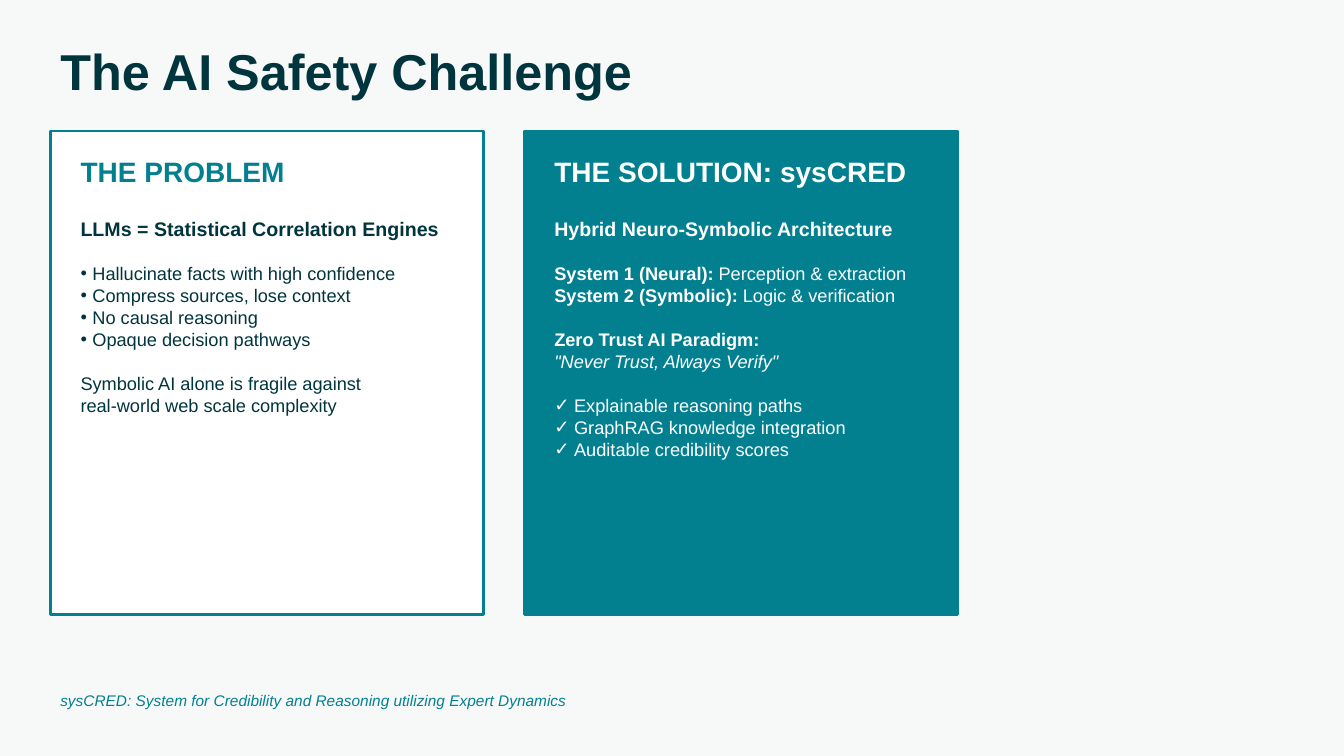
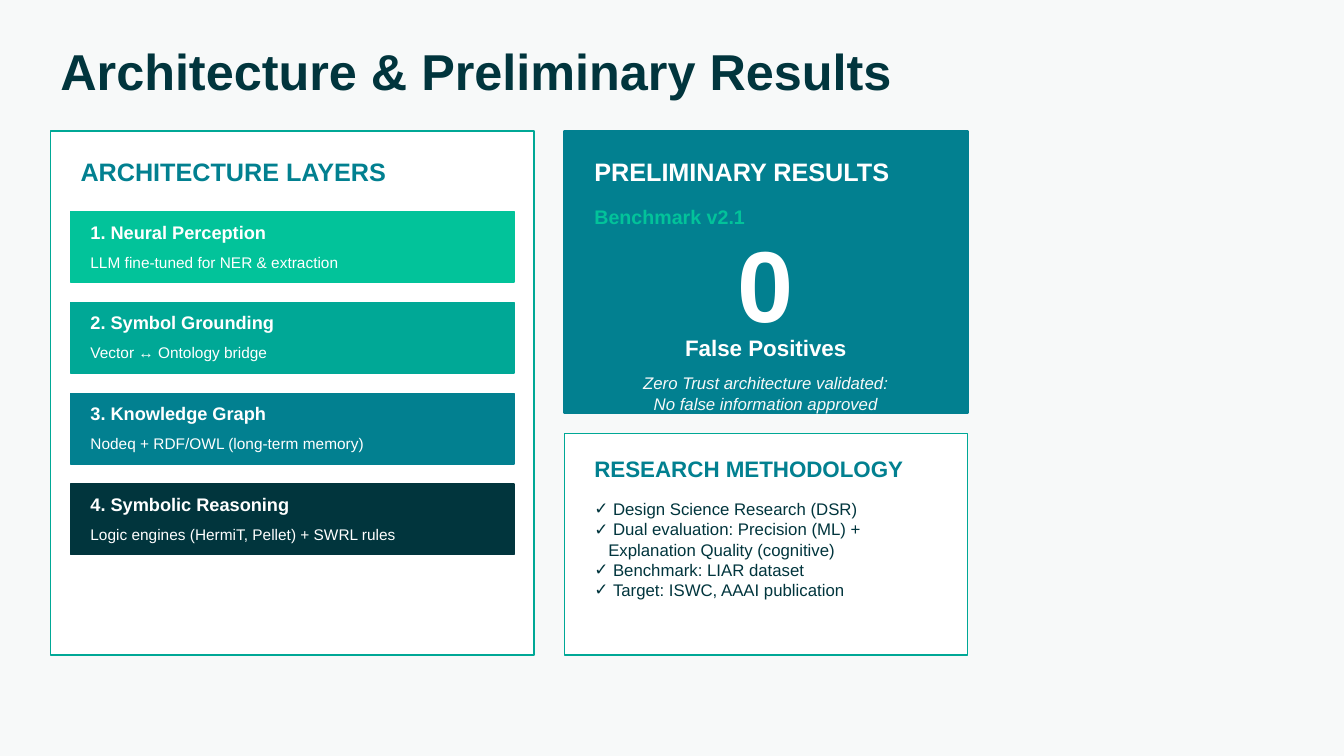
from dataclasses import dataclass
from lxml.etree import SubElement
from pptx import Presentation
from pptx.dml.color import RGBColor
from pptx.enum.shapes import MSO_SHAPE
from pptx.enum.text import MSO_ANCHOR, PP_ALIGN
from pptx.oxml.ns import qn
from pptx.util import Cm, Pt


@dataclass(frozen=True)
class Theme:
    font: str = "Arial"
    paper: str = "F7F9F9"
    white: str = "FFFFFF"
    ink: str = "01353D"
    teal: str = "028090"
    green: str = "00A896"
    mint: str = "02C39A"
    title: int = 36
    figure: int = 72
    head: int = 20
    subhead: int = 18
    label: int = 16
    lead: int = 14
    body: int = 13
    detail: int = 12
    small: int = 11


T = Theme()
MID, TOP = MSO_ANCHOR.MIDDLE, MSO_ANCHOR.TOP
LEFT, CENTER = PP_ALIGN.LEFT, PP_ALIGN.CENTER


def add_box(s, at, fill, line, weight):
    sp = s.shapes.add_shape(MSO_SHAPE.RECTANGLE, *[Cm(v) for v in at])
    sp.shadow.inherit = False
    sp.fill.solid()
    sp.fill.fore_color.rgb = RGBColor.from_string(fill)
    sp.line.color.rgb = RGBColor.from_string(line)
    sp.line.width = Pt(weight)


def add_text(s, at, size, color, *paras, style="", anchor=MID, align=LEFT):
    """Each paragraph is a string or a dict: runs [(text, style)], size, before, bullet, indent."""
    tf = s.shapes.add_textbox(*[Cm(v) for v in at]).text_frame
    tf.word_wrap = True
    tf.vertical_anchor = anchor
    for i, para in enumerate(paras):
        if isinstance(para, str):
            para = {"runs": [(para, style)]}
        p = tf.add_paragraph() if i else tf.paragraphs[0]
        p.alignment = align
        p.space_before = Pt(para.get("before", 0))
        indent = Cm(para.get("indent", 0))
        pPr = p._p.get_or_add_pPr()
        pPr.set("marL", str(indent))
        if "bullet" in para:
            pPr.set("indent", str(-indent))
            SubElement(pPr, qn("a:buFont")).set("typeface", T.font)
            SubElement(pPr, qn("a:buChar")).set("char", para["bullet"])
        for text, look in para["runs"]:
            r = p.add_run()
            r.text = text
            r.font.name = T.font
            r.font.size = Pt(para.get("size", size))
            r.font.bold = "b" in look
            r.font.italic = "i" in look
            r.font.color.rgb = RGBColor.from_string(color)


prs = Presentation()
prs.slide_width, prs.slide_height = Cm(33.87), Cm(19.05)

# Shared background and titles
bg = prs.slide_master.background.fill
bg.solid()
bg.fore_color.rgb = RGBColor.from_string(T.paper)
slides = []
for title in ("The AI Safety Challenge", "Architecture & Preliminary Results"):
    s = prs.slides.add_slide(prs.slide_layouts[6])
    add_text(s, (1.27, 1.02, 22.86, 1.52), T.title, T.ink, title, style="b")
    slides.append(s)

# Shared grid
x0, y0, pad = 1.27, 3.3, 0.51
gap = 16  # points before a new group of lines

# Slide 1: problem and solution cards
s = slides[0]
problem = [
    {"runs": [("LLMs = Statistical Correlation Engines", "b")], "size": T.lead}]
for i, text in enumerate(("Hallucinate facts with high confidence",
                          "Compress sources, lose context",
                          "No causal reasoning",
                          "Opaque decision pathways")):
    problem.append({"runs": [(text, "")], "bullet": "•", "indent": 0.3,
                    "before": 0 if i else gap})
problem += [
    {"runs": [("Symbolic AI alone is fragile against", "")], "before": gap},
    "real-world web scale complexity"]

solution = [
    {"runs": [("Hybrid Neuro-Symbolic Architecture", "b")], "size": T.lead},
    {"runs": [("System 1 (Neural): ", "b"), ("Perception & extraction", "")],
     "before": gap},
    {"runs": [("System 2 (Symbolic): ", "b"), ("Logic & verification", "")]},
    {"runs": [("Zero Trust AI Paradigm:", "b")], "before": gap},
    {"runs": [('"Never Trust, Always Verify"', "i")]}]
for i, text in enumerate(("Explainable reasoning paths",
                          "GraphRAG knowledge integration",
                          "Auditable credibility scores")):
    solution.append({"runs": [(text, "")], "bullet": "✓", "indent": 0.5,
                     "before": 0 if i else gap})

cards = [("THE PROBLEM", problem, T.white, T.teal, T.ink),
         ("THE SOLUTION: sysCRED", solution, T.teal, T.white, T.white)]
card_w, card_gap = 10.92, 1.02
for i, (head, paras, fill, head_color, color) in enumerate(cards):
    x = x0 + i * (card_w + card_gap)
    add_box(s, (x, y0, card_w, 12.19), fill, T.teal, 2)
    add_text(s, (x + pad, y0 + pad, 10.16, 1.02), T.head, head_color, head, style="b")
    add_text(s, (x + pad, 5.33, 10.16, 9.65), T.body, color, *paras, anchor=TOP)

# Slide 1: footer
add_text(s, (x0, 17.27, 22.86, 0.76), T.small, T.teal,
         "sysCRED: System for Credibility and Reasoning utilizing Expert Dynamics",
         style="i")

# Slide 2: architecture layers
s = slides[1]
add_box(s, (x0, y0, 12.19, 13.21), T.white, T.green, 1)
add_text(s, (x0 + pad, y0 + pad, 11.43, 1.02), T.subhead, T.teal,
         "ARCHITECTURE LAYERS", style="b")
layers = [("Neural Perception", "LLM fine-tuned for NER & extraction", T.mint),
          ("Symbol Grounding", "Vector ↔ Ontology bridge", T.green),
          ("Knowledge Graph", "Nodeq + RDF/OWL (long-term memory)", T.teal),
          ("Symbolic Reasoning", "Logic engines (HermiT, Pellet) + SWRL rules", T.ink)]
for i, (name, detail, color) in enumerate(layers):
    y = 5.33 + i * 2.29
    add_box(s, (x0 + pad, y, 11.18, 1.78), color, color, 1)
    add_text(s, (2.03, y + 0.13, 10.67, 0.76), T.body, T.white,
             f"{i + 1}. {name}", style="b")
    add_text(s, (2.03, y + 0.89, 10.67, 0.76), T.small, T.white, detail)

# Slide 2: preliminary results
x, w = 14.22, 10.16
tx, tw = x + pad, w - 2 * pad
add_box(s, (x, y0, w, 7.11), T.teal, T.teal, 2)
add_text(s, (tx, y0 + pad, tw, 1.02), T.subhead, T.white,
         "PRELIMINARY RESULTS", style="b")
add_text(s, (tx, 5.08, tw, 0.76), T.lead, T.mint, "Benchmark v2.1", style="b")
add_text(s, (16.51, 6.1, 5.59, 2.03), T.figure, T.white, "0", style="b", align=CENTER)
add_text(s, (tx, 8.38, tw, 0.76), T.label, T.white, "False Positives",
         style="b", align=CENTER)
add_text(s, (tx, 9.4, tw, 1.02), T.detail, T.paper,
         "Zero Trust architecture validated:", "No false information approved",
         style="i", align=CENTER)

# Slide 2: research methodology
add_box(s, (x, 10.92, w, 5.59), T.white, T.green, 1)
add_text(s, (tx, 10.92 + pad, tw, 0.76), T.label, T.teal,
         "RESEARCH METHODOLOGY", style="b")
methods = [{"runs": [(text, "")], "bullet": "✓", "indent": 0.47}
           for text in ("Design Science Research (DSR)",
                        "Dual evaluation: Precision (ML) +",
                        "Benchmark: LIAR dataset",
                        "Target: ISWC, AAAI publication")]
methods.insert(2, {"runs": [("Explanation Quality (cognitive)", "")], "indent": 0.35})
add_text(s, (tx, 12.45, tw, 3.81), T.detail, T.ink, *methods, anchor=TOP)

prs.save("out.pptx")
